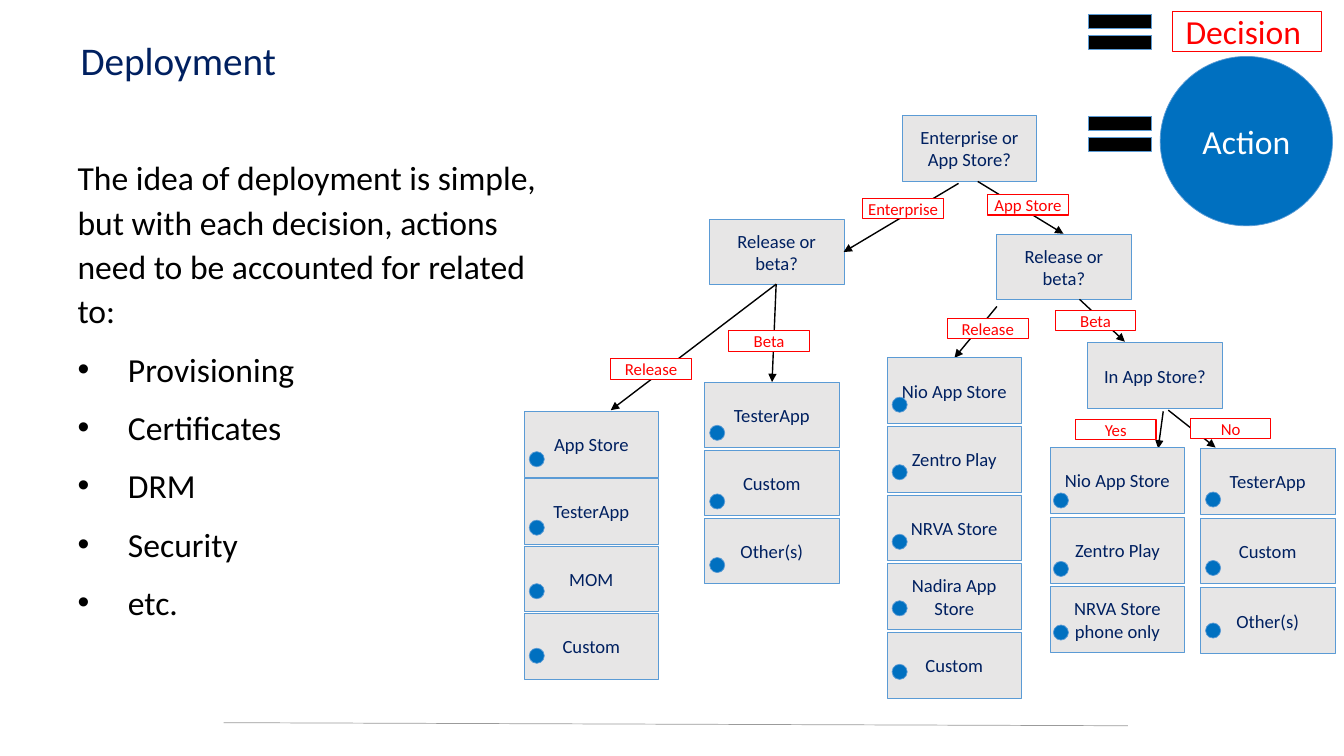
from dataclasses import dataclass

from lxml import etree
from pptx import Presentation
from pptx.dml.color import RGBColor
from pptx.enum.shapes import MSO_CONNECTOR, MSO_SHAPE
from pptx.enum.text import MSO_ANCHOR, MSO_AUTO_SIZE, PP_ALIGN
from pptx.oxml.ns import qn
from pptx.shapes.autoshape import Shape
from pptx.slide import Slide
from pptx.text.text import TextFrame
from pptx.util import Pt

RECTANGLE, OVAL, EQUAL = MSO_SHAPE.RECTANGLE, MSO_SHAPE.OVAL, MSO_SHAPE.MATH_EQUAL
STRAIGHT = MSO_CONNECTOR.STRAIGHT
TOP, MIDDLE = MSO_ANCHOR.TOP, MSO_ANCHOR.MIDDLE
LEFT, CENTER = PP_ALIGN.LEFT, PP_ALIGN.CENTER
NO_AUTOFIT = MSO_AUTO_SIZE.NONE

FONT = "Calibri"
NAVY, RED, BLUE, SKY = "002060", "FF0000", "0070C0", "5B9BD5"
BLACK, WHITE, GRAY, RULE_GRAY = "000000", "FFFFFF", "E7E6E6", "9B9B9B"
BOX_WIDTH, BOX_HEIGHT = 96, 47
LABEL_WIDTH, LABEL_HEIGHT = 57.6, 14.6
DOT_SIZE = 10.8


@dataclass
class Caption:
    text: str
    left: float
    top: float


@dataclass
class Arrow:
    start: tuple[float, float]
    end: tuple[float, float]


@dataclass
class ActionColumn:
    left: float
    top: float
    pitch: float
    dot_left: float
    actions: dict[str, float]


DECISIONS = [
    Caption("Release or beta?", 712, 167.2),
    Caption("Release or beta?", 506.8, 156.5),
    Caption("Enterprise or App Store?", 644.5, 82.3),
    Caption("In App Store?", 777, 244.8),
]
ARROWS = [
    Arrow((554.4, 203), (436.3, 293)),
    Arrow((554.4, 203), (551.5, 272.9)),
    Arrow((684.7, 131), (602.6, 180)),
    Arrow((712.1, 218.9), (681.8, 255.6)),
    Arrow((698.4, 129.6), (759.6, 167)),
    Arrow((771.1, 213.8), (803.5, 244.1)),
    Arrow((830.9, 293.8), (827.3, 320.4)),
    Arrow((834.5, 293), (868.3, 319.7)),
]
COLUMNS = [
    ActionColumn(374.4, 293.8, 48.1, 378,
                 {"App Store": 322.6, "TesterApp": 371.5, "MOM": 416.9, "Custom": 463}),
    ActionColumn(633.6, 255.6, 49, 637.2,
                 {"Nio App Store": 283.7, "Zentro Play": 331.9, "NRVA Store": 381.6,
                  "Nadira App Store": 429.1, "Custom": 474.5}),
    ActionColumn(503.3, 272.9, 48.6, 506.9,
                 {"TesterApp": 303.8, "Custom": 352.8, "Other(s)": 398.2}),
    ActionColumn(750.2, 319.7, 49.7, 752.4,
                 {"Nio App Store": 352.1, "Zentro Play": 401, "NRVA Store phone only": 446.4}),
    ActionColumn(857.5, 320.4, 49.7, 861.1,
                 {"TesterApp": 351.4, "Custom": 400.3, "Other(s)": 445}),
]
ANSWERS = [
    Caption("Enterprise", 616.3, 141.8),
    Caption("App Store", 705.6, 139),
    Caption("Release", 436.3, 256.3),
    Caption("Beta", 520.6, 236.2),
    Caption("Release", 676.8, 227.5),
    Caption("Beta", 753.8, 221.8),
    Caption("Yes", 768.2, 299.5),
    Caption("No", 850.3, 298.8),
]
INTRODUCTION = ("The idea of deployment is simple, but with each decision, "
                "actions need to be accounted for related to:")
TOPICS = ["Provisioning", "Certificates", "DRM", "Security", "etc."]


def color(value: str) -> RGBColor:
    return RGBColor.from_string(value)


def add_run(paragraph, text: str, size: float, text_color: str) -> None:
    run = paragraph.add_run()
    run.text = text
    run.font.name = FONT
    run.font.size = Pt(size)
    run.font.color.rgb = color(text_color)


def set_margins(frame: TextFrame, left: float, top: float, right: float, bottom: float) -> None:
    frame.margin_left, frame.margin_top = Pt(left), Pt(top)
    frame.margin_right, frame.margin_bottom = Pt(right), Pt(bottom)


def place(shape: Shape, left: float, top: float, width: float, height: float) -> None:
    shape.left, shape.top = Pt(left), Pt(top)
    shape.width, shape.height = Pt(width), Pt(height)


def add_figure(slide: Slide, kind: MSO_SHAPE, left: float, top: float, width: float,
               height: float, fill: str, outline: str = SKY, weight: float = 0.5) -> Shape:
    shape = slide.shapes.add_shape(kind, Pt(left), Pt(top), Pt(width), Pt(height))
    shape.shadow.inherit = False
    shape.fill.solid()
    shape.fill.fore_color.rgb = color(fill)
    shape.line.color.rgb = color(outline)
    shape.line.width = Pt(weight)
    return shape


def write(shape: Shape, text: str, size: float, text_color: str,
          alignment: PP_ALIGN = CENTER, anchor: MSO_ANCHOR = MIDDLE) -> None:
    frame = shape.text_frame
    frame.word_wrap = True
    frame.vertical_anchor = anchor
    paragraph = frame.paragraphs[0]
    paragraph.alignment = alignment
    add_run(paragraph, text, size, text_color)


def add_box(slide: Slide, text: str, left: float, top: float) -> None:
    box = add_figure(slide, RECTANGLE, left, top, BOX_WIDTH, BOX_HEIGHT, GRAY)
    write(box, text, 13.3, NAVY)


def add_label(slide: Slide, caption: Caption, width: float = LABEL_WIDTH,
              height: float = LABEL_HEIGHT, size: float = 12, inset: float = 0,
              alignment: PP_ALIGN = CENTER) -> None:
    label = add_figure(slide, RECTANGLE, caption.left, caption.top, width, height,
                       WHITE, RED, 0.75)
    set_margins(label.text_frame, inset, 0, 0, 0)
    write(label, caption.text, size, RED, alignment, TOP)


def add_line(slide: Slide, line: Arrow, line_color: str, weight: float, arrowhead: bool) -> None:
    connector = slide.shapes.add_connector(
        STRAIGHT, *(Pt(value) for value in line.start + line.end))
    connector.line.color.rgb = color(line_color)
    connector.line.width = Pt(weight)
    if arrowhead:
        etree.SubElement(connector.line._get_or_add_ln(), qn("a:tailEnd"), type="triangle")
    etree.SubElement(connector._element.spPr, qn("a:effectLst"))


def add_title(slide: Slide) -> None:
    title = slide.shapes.title
    place(title, 48.2, 23.8, 884.9, 41.8)
    title.text_frame.auto_size = NO_AUTOFIT
    set_margins(title.text_frame, 9.4, 5, 9.4, 5)
    write(title, "Deployment", 28, NAVY, LEFT)
    title.text_frame.paragraphs[0].line_spacing = 0.9


def add_body(slide: Slide) -> None:
    body = slide.placeholders[1]
    place(body, 48.2, 105.8, 355.7, 346.3)
    frame = body.text_frame
    frame.auto_size = NO_AUTOFIT
    frame.word_wrap = True
    frame.vertical_anchor = TOP
    for index, text in enumerate([INTRODUCTION, *TOPICS]):
        paragraph = frame.add_paragraph() if index else frame.paragraphs[0]
        properties = paragraph._p.get_or_add_pPr()
        properties.set("marL", str(Pt(36) if index else 0))
        properties.set("indent", str(Pt(-36) if index else 0))
        if index:
            etree.SubElement(properties, qn("a:buFont"), typeface="Arial")
            etree.SubElement(properties, qn("a:buChar"), char="•")
        else:
            etree.SubElement(properties, qn("a:buNone"))
        paragraph.line_spacing = 1.1
        paragraph.space_before = Pt(10 if index else 0)
        add_run(paragraph, text, 24, BLACK)


def add_legend(slide: Slide) -> None:
    add_label(slide, Caption("Decision", 837.4, 7.9), 106.6, 29.2, 24, 9.4, LEFT)
    action = add_figure(slide, OVAL, 828.7, 40.3, 123.1, 121, BLUE)
    write(action, "Action", 24, WHITE)
    for top in (1.4, 74.2):
        add_figure(slide, EQUAL, 769, top, 61.9, 42.5, BLACK)


def main() -> None:
    presentation = Presentation()
    presentation.slide_width, presentation.slide_height = Pt(960), Pt(540)
    slide = presentation.slides.add_slide(presentation.slide_layouts[1])
    add_title(slide)
    add_body(slide)
    add_line(slide, Arrow((159.8, 516.2), (805.7, 518.4)), RULE_GRAY, 0.5, False)
    for decision in DECISIONS:
        add_box(slide, decision.text, decision.left, decision.top)
    for arrow in ARROWS:
        add_line(slide, arrow, BLACK, 1, True)
    for column in COLUMNS:
        for row, (action, dot_top) in enumerate(column.actions.items()):
            add_box(slide, action, column.left, column.top + row * column.pitch)
            add_figure(slide, OVAL, column.dot_left, dot_top, DOT_SIZE, DOT_SIZE, BLUE)
    for answer in ANSWERS:
        add_label(slide, answer)
    add_legend(slide)
    presentation.save("out.pptx")


if __name__ == "__main__":
    main()
